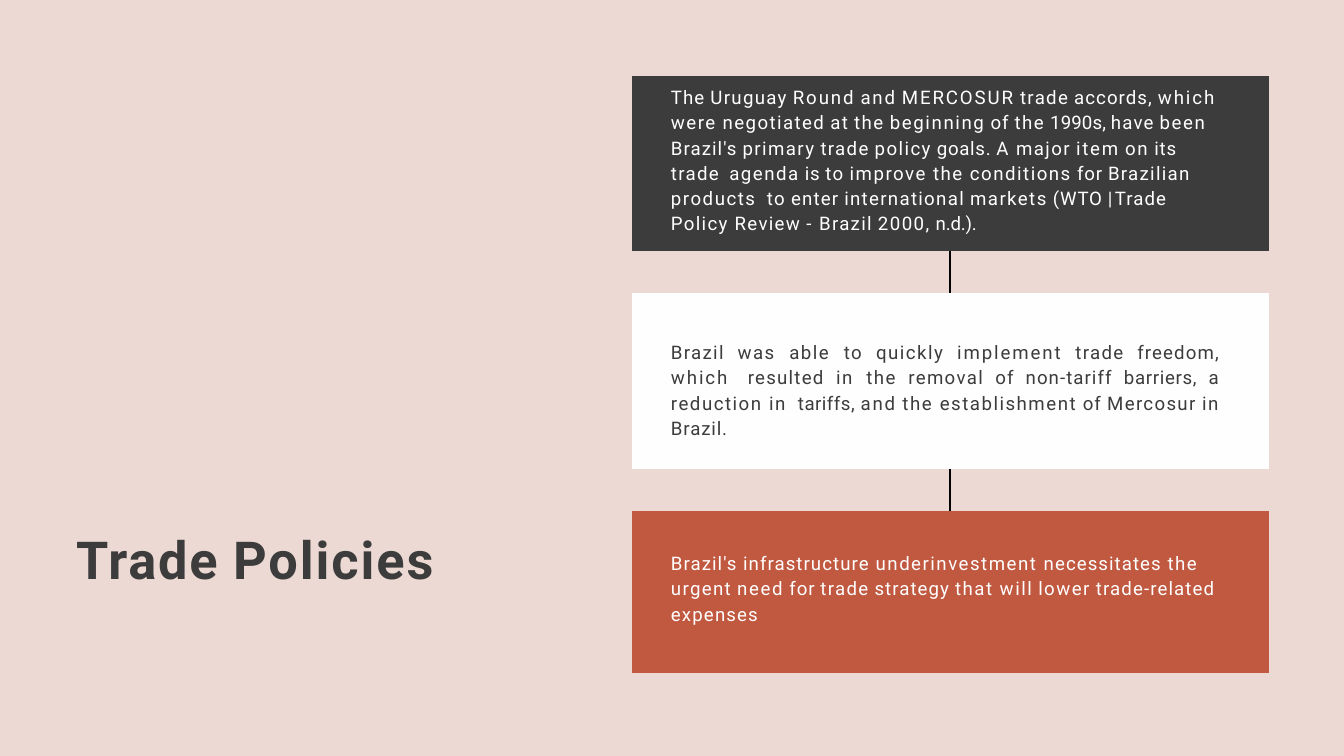
from lxml.etree import SubElement
from pptx import Presentation
from pptx.dml.color import RGBColor
from pptx.enum.shapes import MSO_SHAPE
from pptx.enum.text import MSO_ANCHOR, PP_ALIGN
from pptx.oxml import parse_xml
from pptx.oxml.ns import nsdecls, qn
from pptx.util import Emu, Pt

EMU_PER_PX = 914400 / 67.2
FONT = "Roboto"
BLUSH, CHARCOAL, WHITE = "ECD9D3", "3C3C3C", "FFFFFF"
PAPER, TERRACOTTA, BLACK = "FEFEFE", "C15840", "000000"
NO_TABLE_STYLE = "{2D5ABB26-0587-4C30-8999-92F81FD0307C}"
SLIDE_WIDTH, SLIDE_HEIGHT = 1344, 756
CARD_HEIGHTS = [175, 176, 162]
LINK_HEIGHT = 42
WORD_GAP = 0.3

TITLE = [("Trade ", 1.9), ("Policies", 2.1)]
ACCORDS = [
    ("The ", 1.1), ("Uruguay ", 1.4), ("Round ", 2), ("and ", 1.9),
    ("MERCOSUR ", 2), ("trade ", 1.4), ("accords, ", 1.1), ("which ", 2),
    ("were negotiated ", 1.5), ("at ", 1.3), ("the ", 1.6),
    ("beginning ", 1.7), ("of ", 1), ("the ", 1.6), ("1990s, ", 0.1),
    ("have ", 1.2), ("been ", 1.7), ("Brazil's ", 1.1), ("primary ", 1.5),
    ("trade ", 1.4), ("policy ", 1.5), ("goals. ", 0.7), ("A ", 2.8),
    ("major ", 1.5), ("item ", 1.9), ("on ", 1.8), ("its ", 0.9),
    ("trade", 1.4), (" ", 4.8), ("agenda ", 1.6), ("is ", 0.8), ("to ", 1.5),
    ("improve the conditions ", 1.6), ("for ", 0.9), ("Brazilian ", 1.4),
    ("products", 1.6), (" ", 6), ("to ", 1.5), ("enter ", 1.2),
    ("international ", 1.4), ("markets ", 1.5), ("(WTO ", 0.8),
    ("| ", -2.3), ("Trade ", 1.1), ("Policy Review ", 1.4), ("-", 0.1),
    (" ", 3), ("Brazil ", 1.4), ("2000, ", 1.5), ("n.d.).", -0.2),
]
FREEDOM = [
    ("Brazil ", 1.4), ("was able to ", 1.5), ("quickly ", 1.6),
    ("implement ", 2), ("trade ", 1.4), ("freedom, ", 1.2), ("which", 2),
    (" ", 8), ("resulted ", 1.3), ("in the ", 1.6), ("removal ", 1.4),
    ("of ", 1), ("non-tariff ", 1.1), ("barriers, ", 0.7), ("a ", 1.2),
    ("reduction in", 1.6), (" ", 6), ("tariffs, ", 0.5), ("and ", 1.9),
    ("the establishment ", 1.6), ("of ", 1), ("Mercosur ", 1.4),
    ("in ", 1.6), ("Brazil.", 0.9),
]
INFRASTRUCTURE = [
    ("Brazil's infrastructure", 1.1), (" ", 1.1), ("underinvestment", 1.6),
    (" ", 1.6), ("necessitates", 1.1), (" ", 1.1), ("the ", 1.6),
    ("urgent ", 1.4), ("need ", 1.8), ("for ", 0.9), ("trade ", 1.4),
    ("strategy ", 1.1), ("that will ", 1.6), ("lower ", 1.5),
    ("trade-related expenses", 1.2),
]


def px(length):
    """Turn px into EMU."""
    return Emu(round(length * EMU_PER_PX))


def paint(fill, color):
    """Give a fill one solid colour."""
    fill.solid()
    fill.fore_color.rgb = RGBColor.from_string(color)


def split_gaps(phrases):
    """Yield words and the tighter spaces after them."""
    for phrase, spacing in phrases:
        words = phrase.rstrip()
        if words and words != phrase:
            yield words, spacing
            yield " ", min(spacing, WORD_GAP)
        else:
            yield phrase, spacing


def add_runs(paragraph, phrases, size, color, bold=False):
    """Add phrases, each with its own letter spacing in points."""
    for piece, spacing in split_gaps(phrases):
        run = paragraph.add_run()
        run.text = piece
        run.font.name, run.font.size, run.font.bold = FONT, Pt(size), bold
        run.font.color.rgb = RGBColor.from_string(color)
        run._r.get_or_add_rPr().set("spc", str(round(spacing * 100)))


def set_margins(holder, left, top, right):
    """Set the inner margins of a cell or text frame."""
    holder.margin_left, holder.margin_top = px(left), px(top)
    holder.margin_right, holder.margin_bottom = px(right), 0


def add_backdrop(slide):
    """Cover the slide with a plain panel behind everything."""
    backdrop = slide.shapes.add_shape(
        MSO_SHAPE.RECTANGLE, 0, 0, px(SLIDE_WIDTH), px(SLIDE_HEIGHT))
    backdrop.shadow.inherit = False
    paint(backdrop.fill, BLUSH)
    backdrop.line.fill.background()
    slide.shapes._spTree.insert(2, backdrop._element)


def add_title(slide):
    """Place and write the slide title."""
    title = slide.shapes.title
    title.left, title.top, title.width, title.height = map(px, (75, 526, 392, 65))
    frame = title.text_frame
    frame.word_wrap = True
    frame.vertical_anchor = MSO_ANCHOR.TOP
    set_margins(frame, 1, 1, 0)
    heading = frame.paragraphs[0]
    heading.alignment = PP_ALIGN.LEFT
    heading.line_spacing = 1.0
    heading.space_before = Pt(0)
    add_runs(heading, TITLE, 56, CHARCOAL, bold=True)


def fill_card(row, phrases, background, color, top, alignment):
    """Merge a table row into one card and write its text."""
    card, partner = row.cells
    card.merge(partner)
    paint(card.fill, background)
    set_margins(card, 39, top, 49)
    body = card.text_frame.paragraphs[0]
    body.alignment = alignment
    body.line_spacing = 1.15
    add_runs(body, phrases, 20, color)


def fill_link(row):
    """Colour a gap row and draw the line down its middle."""
    for cell, side in zip(row.cells, ("lnR", "lnL")):
        paint(cell.fill, BLUSH)
        border = parse_xml(f'<a:{side} {nsdecls("a")} w="{Pt(3)}"/>')
        stroke = SubElement(border, qn("a:solidFill"))
        SubElement(stroke, qn("a:srgbClr")).set("val", BLACK)
        cell._tc.get_or_add_tcPr().insert(0, border)


def add_policy_table(slide):
    """Build three cards joined by two links."""
    heights = [LINK_HEIGHT] * 5
    heights[::2] = CARD_HEIGHTS
    frame = slide.shapes.add_table(
        5, 2, px(632), px(76), px(637), px(sum(heights)))
    table = frame.table
    table.first_row = table.horz_banding = False
    table._tbl.tblPr.find(qn("a:tableStyleId")).text = NO_TABLE_STYLE
    for column, width in zip(table.columns, (318, 319)):
        column.width = px(width)
    for row, height in zip(table.rows, heights):
        row.height = px(height)
    rows = list(table.rows)
    fill_card(rows[0], ACCORDS, CHARCOAL, WHITE, 8, PP_ALIGN.LEFT)
    fill_card(rows[2], FREEDOM, PAPER, CHARCOAL, 46, PP_ALIGN.JUSTIFY)
    fill_card(rows[4], INFRASTRUCTURE, TERRACOTTA, WHITE, 39, PP_ALIGN.LEFT)
    for link in rows[1::2]:
        fill_link(link)


def main():
    """Build and save the slide."""
    presentation = Presentation()
    presentation.slide_width = px(SLIDE_WIDTH)
    presentation.slide_height = px(SLIDE_HEIGHT)
    slide = presentation.slides.add_slide(presentation.slide_layouts[5])
    add_backdrop(slide)
    add_title(slide)
    add_policy_table(slide)
    presentation.save("out.pptx")


if __name__ == "__main__":
    main()
